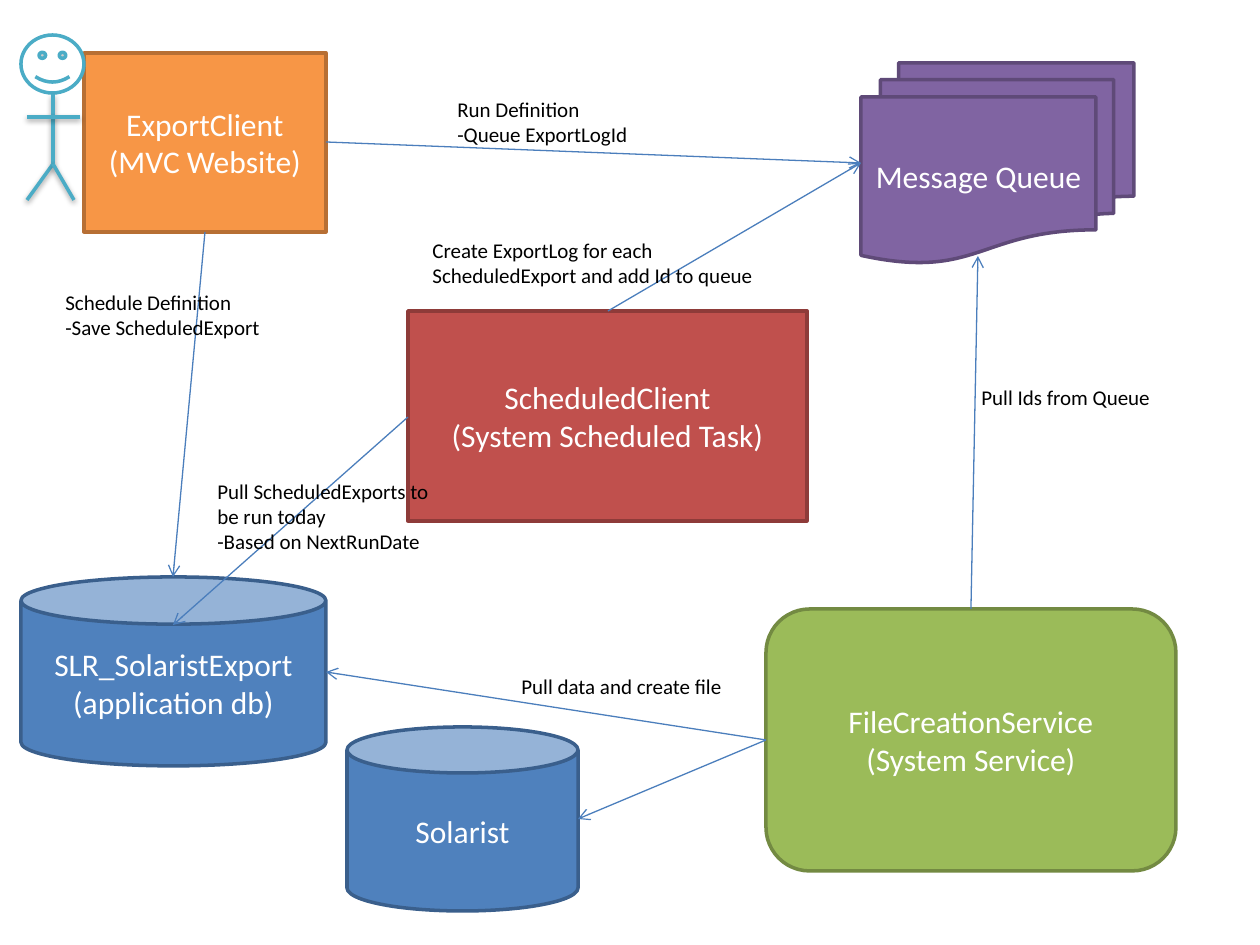
"""Build the export system flow diagram slide."""
from dataclasses import dataclass

import pptx
import pptx.dml.color
import pptx.enum.shapes
import pptx.enum.text
import pptx.oxml
import pptx.oxml.ns
import pptx.util

PX = pptx.util.Inches(1) // 126
SHAPE = pptx.enum.shapes.MSO_SHAPE
ALIGN = pptx.enum.text.PP_ALIGN


@dataclass(frozen=True)
class Theme:
    """Colours, font and sizes of the slide."""
    font: str = "Calibri"
    node_pt: int = 18
    note_pt: int = 12
    outline_pt: float = 2
    arrow_pt: float = 0.75
    white: str = "FFFFFF"
    black: str = "000000"
    arrow: str = "4B7EBC"
    actor: str = "4BACC6"
    orange: tuple[str, str] = ("F79646", "B76F34")
    purple: tuple[str, str] = ("8064A2", "5F4A78")
    green: tuple[str, str] = ("9BBB59", "738A42")
    red: tuple[str, str] = ("C0504D", "8E3B39")
    blue: tuple[str, str] = ("4F81BD", "3A5F8C")


THEME = Theme()


@dataclass(frozen=True)
class Node:
    """A filled shape with centred text."""
    kind: SHAPE
    box: tuple[int, int, int, int]
    colors: tuple[str, str]
    lines: tuple[str, ...] = ()


@dataclass(frozen=True)
class Note:
    """A small label beside an arrow."""
    box: tuple[int, int, int, int]
    lines: tuple[str, ...]
    wrap: bool = True


@dataclass(frozen=True)
class Link:
    """A straight line between two points."""
    start: tuple[int, int]
    end: tuple[int, int]


NODES = (
    Node(SHAPE.RECTANGLE, (84, 53, 242, 179), THEME.orange,
         ("ExportClient", "(MVC Website)")),
    Node(SHAPE.FLOWCHART_MULTIDOCUMENT, (861, 63, 273, 200), THEME.purple,
         ("Message Queue",)),
    Node(SHAPE.ROUNDED_RECTANGLE, (766, 609, 410, 262), THEME.green,
         ("FileCreationService", "(System Service)")),
    Node(SHAPE.RECTANGLE, (408, 311, 399, 210), THEME.red,
         ("ScheduledClient", "(System Scheduled Task)")),
    Node(SHAPE.CAN, (347, 727, 231, 184), THEME.blue, ("Solarist",)),
    Node(SHAPE.CAN, (21, 577, 305, 189), THEME.blue,
         ("SLR_SolaristExport", "(application db)")),
)
ARROWS = (
    Link((326, 142), (861, 163)),
    Link((205, 232), (173, 577)),
    Link((408, 417), (173, 625)),
    Link((608, 311), (861, 163)),
    Link((971, 609), (978, 256)),
    Link((766, 740), (578, 819)),
    Link((766, 740), (326, 672)),
)
NOTES = (
    Note((445, 90, 202, 63), ("Run Definition", "-Queue ExportLogId")),
    Note((53, 283, 227, 63),
         ("Schedule Definition", "-Save ScheduledExport"), False),
    Note((205, 472, 240, 90),
         ("Pull ScheduledExports to be run today", "-Based on NextRunDate")),
    Note((420, 231, 347, 63),
         ("Create ExportLog for each ScheduledExport and add Id to queue",)),
    Note((969, 378, 195, 38), ("Pull Ids from Queue",), False),
    Note((509, 667, 228, 38), ("Pull data and create file",), False),
)
HEAD = Node(SHAPE.SMILEY_FACE, (21, 35, 63, 58), (THEME.white, THEME.actor))
LIMBS = (
    Link((53, 94), (53, 164)),
    Link((53, 164), (27, 200)),
    Link((74, 200), (53, 164)),
    Link((27, 117), (80, 117)),
)
LIMB_SHADOW = (
    '<a:outerShdw {} blurRad="40000" dist="20000" dir="5400000" '
    'rotWithShape="0"><a:srgbClr val="000000"><a:alpha val="38000"/>'
    '</a:srgbClr></a:outerShdw>').format(pptx.oxml.ns.nsdecls("a"))


def rgb(value: str) -> pptx.dml.color.RGBColor:
    """Return a colour from its hex digits."""
    return pptx.dml.color.RGBColor.from_string(value)


def emu(values: tuple[int, ...]) -> list[int]:
    """Scale pixels to EMU."""
    return [v * PX for v in values]


def write(tf, lines: tuple[str, ...], size: float, color: str, align) -> None:
    """Fill a text frame with one paragraph a line."""
    for i, line in enumerate(lines):
        p = tf.paragraphs[0] if i == 0 else tf.add_paragraph()
        p.text = line
        p.alignment = align
        p.font.name = THEME.font
        p.font.size = pptx.util.Pt(size)
        p.font.color.rgb = rgb(color)


def add_node(shapes, node: Node) -> None:
    """Draw a filled shape and its text."""
    sp = shapes.add_shape(node.kind, *emu(node.box))
    sp.shadow.inherit = False
    fill, outline = node.colors
    sp.fill.solid()
    sp.fill.fore_color.rgb = rgb(fill)
    sp.line.color.rgb = rgb(outline)
    sp.line.width = pptx.util.Pt(THEME.outline_pt)
    tf = sp.text_frame
    tf.vertical_anchor = pptx.enum.text.MSO_ANCHOR.MIDDLE
    write(tf, node.lines, THEME.node_pt, THEME.white, ALIGN.CENTER)


def add_note(shapes, note: Note) -> None:
    """Draw a text label."""
    tf = shapes.add_textbox(*emu(note.box)).text_frame
    tf.word_wrap = note.wrap
    tf.auto_size = pptx.enum.text.MSO_AUTO_SIZE.SHAPE_TO_FIT_TEXT
    write(tf, note.lines, THEME.note_pt, THEME.black, ALIGN.LEFT)


def add_link(shapes, link: Link, color: str, width: float):
    """Draw a line and return it with its empty effect list."""
    line = shapes.add_connector(pptx.enum.shapes.MSO_CONNECTOR.STRAIGHT,
                                *emu(link.start + link.end))
    line.line.color.rgb = rgb(color)
    line.line.width = pptx.util.Pt(width)
    effects = pptx.oxml.parse_xml(
        f'<a:effectLst {pptx.oxml.ns.nsdecls("a")}/>')
    line._element.spPr.append(effects)
    return line, effects


def add_arrow(shapes, link: Link) -> None:
    """Draw a line with an open arrowhead at its end."""
    line, _ = add_link(shapes, link, THEME.arrow, THEME.arrow_pt)
    line.line._get_or_add_ln().append(pptx.oxml.parse_xml(
        f'<a:tailEnd {pptx.oxml.ns.nsdecls("a")} type="arrow"/>'))


def add_actor(shapes) -> None:
    """Draw the stick figure as one group."""
    group = shapes.add_group_shape().shapes
    add_node(group, HEAD)
    for limb in LIMBS:
        _, effects = add_link(group, limb, THEME.actor, THEME.outline_pt)
        effects.append(pptx.oxml.parse_xml(LIMB_SHADOW))


def main() -> None:
    """Build and save the slide."""
    prs = pptx.Presentation()
    prs.slide_width, prs.slide_height = emu((1260, 945))
    s = prs.slides.add_slide(prs.slide_layouts.get_by_name("Blank"))
    for node in NODES:
        add_node(s.shapes, node)
    for arrow in ARROWS:
        add_arrow(s.shapes, arrow)
    for note in NOTES:
        add_note(s.shapes, note)
    add_actor(s.shapes)
    prs.save("out.pptx")


main()
